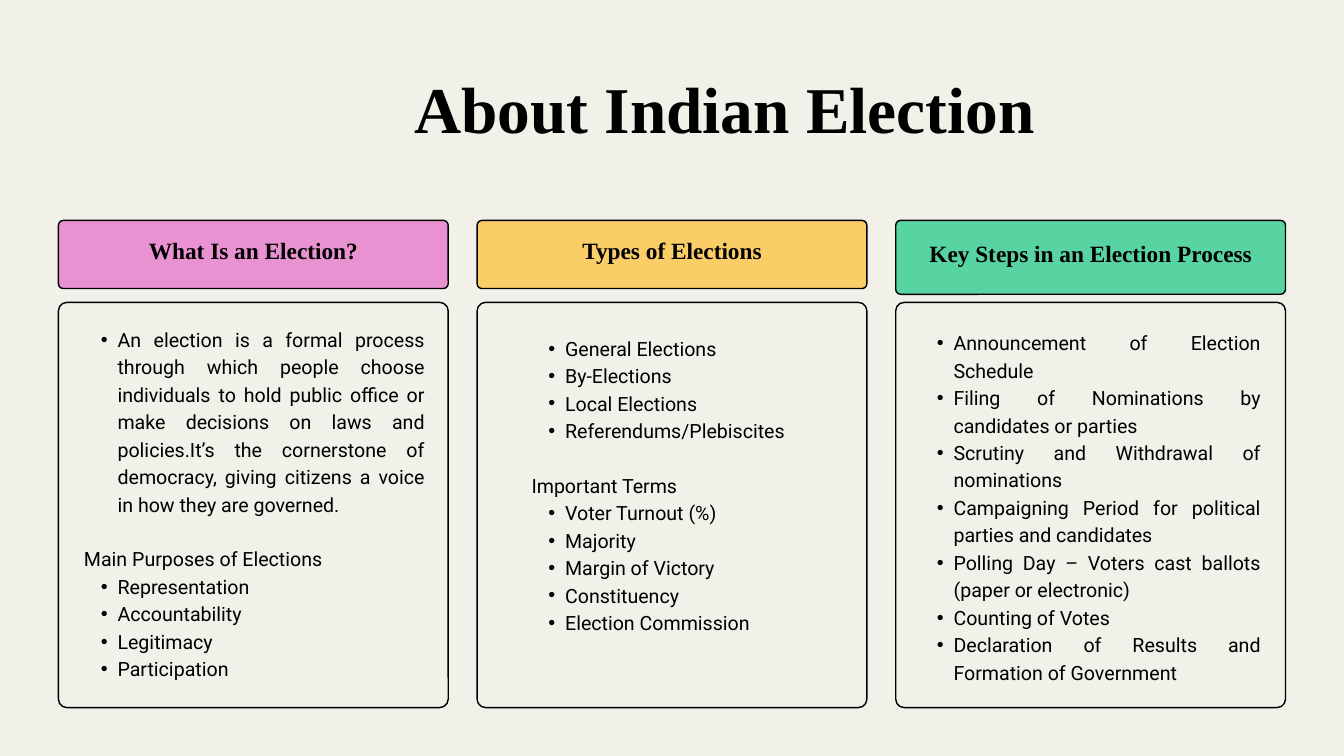
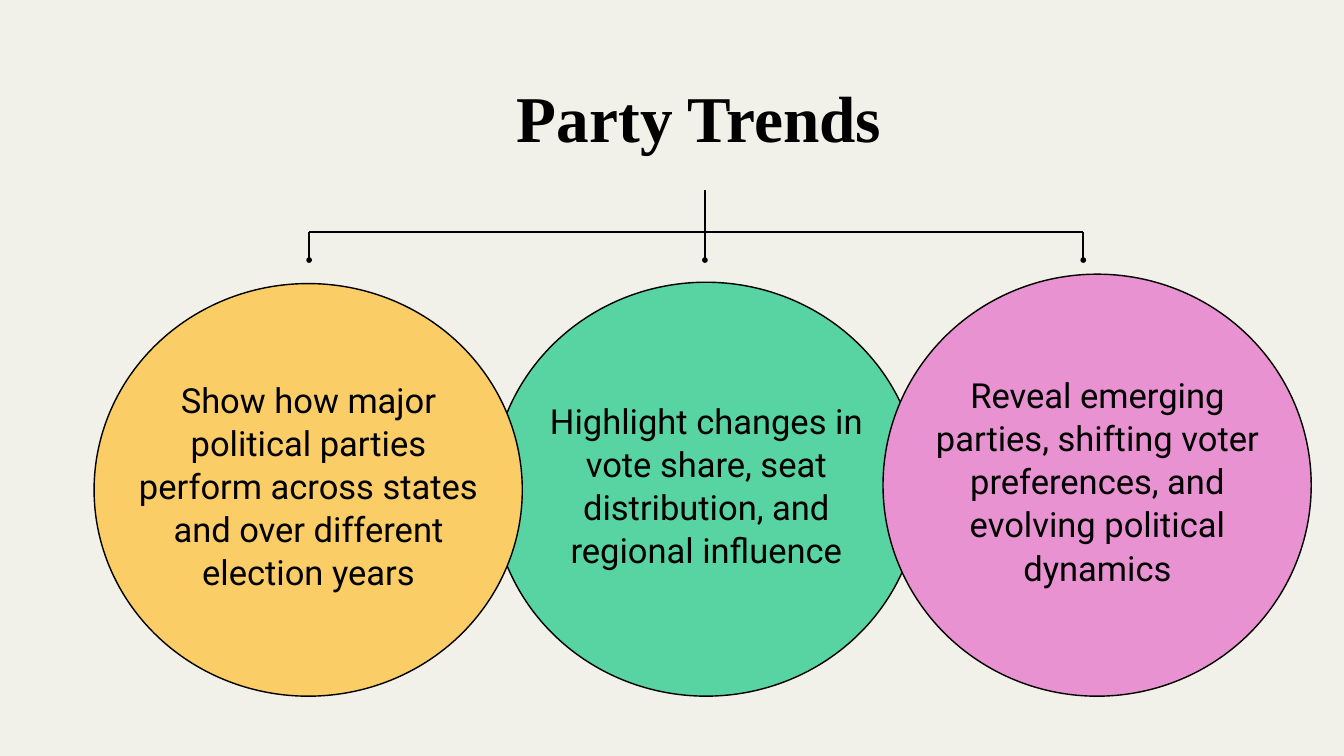
from lxml import etree
from pptx import Presentation
from pptx import util as u
from pptx.dml import color
from pptx.enum import shapes, text
from pptx.oxml import ns

COLORS = {
    "paper": "F1F1E9",
    "ink": "000000",
    "pink": "E992D1",
    "yellow": "FACD66",
    "green": "58D3A2",
}
SERIF, SANS = "Times New Roman", "Roboto"
CENTER, JUSTIFY = text.PP_ALIGN.CENTER, text.PP_ALIGN.JUSTIFY


def rgb(name):
    return color.RGBColor.from_string(COLORS[name])


def add_xml(parent, tag, **attributes):
    return etree.SubElement(parent, ns.qn(tag), attributes)


class Deck:
    def __init__(self, width, height):
        self.presentation = Presentation()
        self.presentation.slide_width = u.Pt(width)
        self.presentation.slide_height = u.Pt(height)
        self.slide = None

    def new_slide(self):
        layout = self.presentation.slide_layouts[6]
        self.slide = self.presentation.slides.add_slide(layout)
        fill = self.slide.background.fill
        fill.solid()
        fill.fore_color.rgb = rgb("paper")

    def outlined(self, kind, left, top, width, height, fill):
        shape = self.slide.shapes.add_shape(
            kind, u.Pt(left), u.Pt(top), u.Pt(width), u.Pt(height))
        shape.shadow.inherit = False
        shape.fill.solid()
        shape.fill.fore_color.rgb = rgb(fill)
        shape.line.color.rgb = rgb("ink")
        shape.line.width = u.Pt(1.5)
        return shape

    def panel(self, left, top, width, height, fill, radius):
        shape = self.outlined(shapes.MSO_SHAPE.ROUNDED_RECTANGLE,
                              left, top, width, height, fill)
        shape.adjustments[0] = radius / min(width, height)

    def circle(self, left, top, width, height, fill):
        self.outlined(shapes.MSO_SHAPE.OVAL, left, top, width, height, fill)

    def text_box(self, left, top, width, height, margin=0, middle=False):
        box = self.slide.shapes.add_textbox(
            u.Pt(left), u.Pt(top), u.Pt(width), u.Pt(height))
        frame = box.text_frame
        frame.word_wrap = True
        frame.margin_left = frame.margin_right = u.Pt(margin)
        frame.margin_top = frame.margin_bottom = u.Pt(margin)
        anchor = text.MSO_ANCHOR
        frame.vertical_anchor = anchor.MIDDLE if middle else anchor.TOP
        return frame

    def style(self, paragraph, size, spacing, font=SANS, bold=False, align=CENTER):
        paragraph.alignment = align
        paragraph.line_spacing = u.Pt(spacing)
        for run in paragraph.runs:
            run.font.name = font
            run.font.size = u.Pt(size)
            run.font.bold = bold
            run.font.color.rgb = rgb("ink")

    def title(self, words, left, top, width):
        frame = self.text_box(left, top, width, 80.64)
        frame.text = words
        self.style(frame.paragraphs[0], 70, 79.8, SERIF, bold=True)

    def label(self, words, left, top, width, height, size, spacing, **look):
        """Add centred text in the middle of a box."""
        frame = self.text_box(left, top, width, height, margin=4, middle=True)
        frame.text = words
        self.style(frame.paragraphs[0], size, spacing, **look)

    def bullet_groups(self, groups, left, top, width, height):
        """Add (heading, bullets) groups, one line apart; a heading may be None."""
        frame = self.text_box(left, top, width, height)
        rows = []
        for heading, bullets in groups:
            if heading:
                rows.append((heading, False))
            rows += [(bullet, True) for bullet in bullets]
        for index, (words, bulleted) in enumerate(rows):
            paragraph = frame.add_paragraph() if index else frame.paragraphs[0]
            paragraph.text = words
            self.style(paragraph, 21, 29.4, align=JUSTIFY)
            if bulleted:
                self.bullet(paragraph)
            elif index:
                paragraph.space_before = u.Pt(29.4)

    def bullet(self, paragraph):
        paragraph.level = 1
        properties = paragraph._p.get_or_add_pPr()
        properties.set("marL", str(u.Pt(36)))
        properties.set("indent", str(u.Pt(-18)))
        add_xml(properties, "a:buFont", typeface="Arial")
        add_xml(properties, "a:buChar", char="•")

    def line(self, x1, y1, x2, y2, dot=False):
        """Draw a line, with a dot at its start if wanted."""
        connector = self.slide.shapes.add_connector(
            shapes.MSO_CONNECTOR.STRAIGHT, u.Pt(x1), u.Pt(y1), u.Pt(x2), u.Pt(y2))
        connector.line.color.rgb = rgb("ink")
        connector.line.width = u.Pt(2)
        properties = connector._element.spPr
        if dot:
            add_xml(properties.find(ns.qn("a:ln")), "a:headEnd", type="oval")
        add_xml(properties, "a:effectLst")


def about_slide(deck):
    deck.new_slide()
    deck.title("About Indian Election", 192.96, 77.04, 1166.4)

    # heading, colour, header height, text place (left, top, width, height), groups
    columns = [
        ("What Is an Election?", "pink", 73, (90, 347.04, 365.04, 380), [
            (None, ["An election is a formal process through which people choose "
                    "individuals to hold public office or make decisions on laws and "
                    "policies.It’s the cornerstone of democracy, giving citizens a "
                    "voice in how they are governed."]),
            ("Main Purposes of Elections",
             ["Representation", "Accountability", "Legitimacy", "Participation"]),
        ]),
        ("Types of Elections", "yellow", 73, (569.52, 356.4, 333.36, 380), [
            (None, ["General Elections", "By-Elections", "Local Elections",
                    "Referendums/Plebiscites"]),
            ("Important Terms",
             ["Voter Turnout (%)", "Majority", "Margin of Victory", "Constituency",
              "Election Commission"]),
        ]),
        ("Key Steps in an Election Process", "green", 79.2,
         (985.68, 350.64, 365.04, 409), [
            (None, ["Announcement of Election Schedule",
                    "Filing of Nominations by candidates or parties",
                    "Scrutiny and Withdrawal of nominations",
                    "Campaigning Period for political parties and candidates",
                    "Polling Day – Voters cast ballots (paper or electronic)",
                    "Counting of Votes",
                    "Declaration of Results and Formation of Government"]),
         ]),
    ]
    first_left, step, width = 62.64, 448.56, 417.6
    header_top, rise = 236.16, 13.7
    for index, (heading, fill, height, place, groups) in enumerate(columns):
        left = first_left + index * step
        deck.panel(left, 324, width, 434.16, "paper", radius=9)
        deck.panel(left, header_top, width, height, fill, radius=5.2)
        deck.label(heading, left, header_top - rise, width, height + rise,
                   25, 35, font=SERIF, bold=True)
        deck.bullet_groups(groups, *place)


def trends_slide(deck):
    deck.new_slide()
    deck.title("Party Trends", 384.48, 86.4, 729.36)

    def trend(words, left, top, fill):
        width, bottom = 458.8, 745.92
        deck.circle(left, top, width, bottom - top, fill)
        deck.label(words, left + 43.2, top + 31, width - 85.8, bottom - top - 72.8,
                   37, 46.2)

    trend("Highlight changes in vote share, seat distribution, and regional influence",
          527.04, 302.4, "green")

    left, middle, right = 331.2, 755.28, 1160.64
    stem_top, bar, dots = 203.76, 248.2, 278.64
    deck.line(left, bar, right, bar)
    for x, top in ((middle, stem_top), (left, bar), (right, bar)):
        deck.line(x, dots, x, top, dot=True)

    trend("Reveal emerging parties, shifting voter preferences, and evolving "
          "political dynamics", 946.08, 293.76, "pink")
    trend("Show how major political parties perform across states and over "
          "different election years", 100.8, 303.84, "yellow")


def main():
    deck = Deck(1440, 810)
    about_slide(deck)
    trends_slide(deck)
    deck.presentation.save("out.pptx")


if __name__ == "__main__":
    main()
